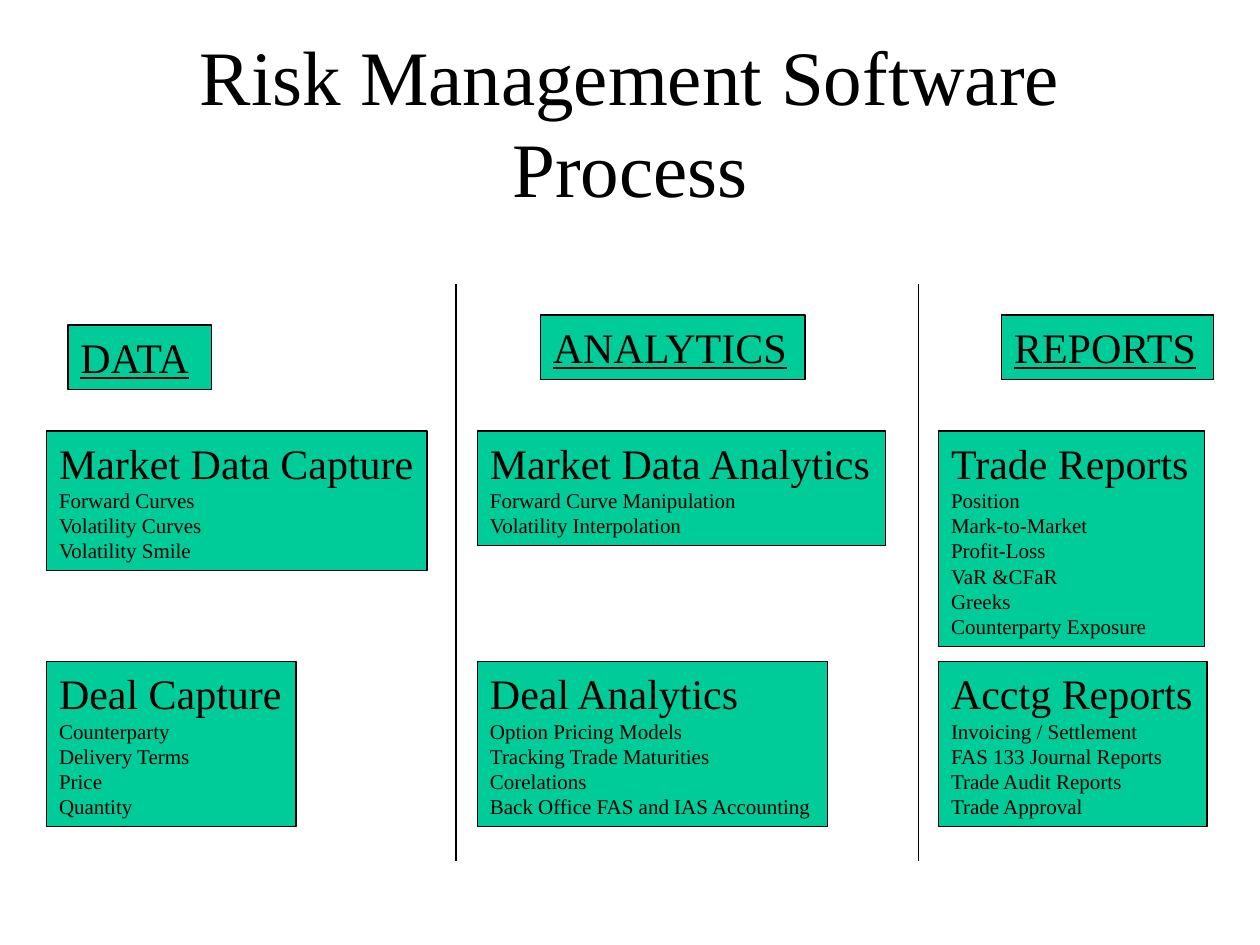
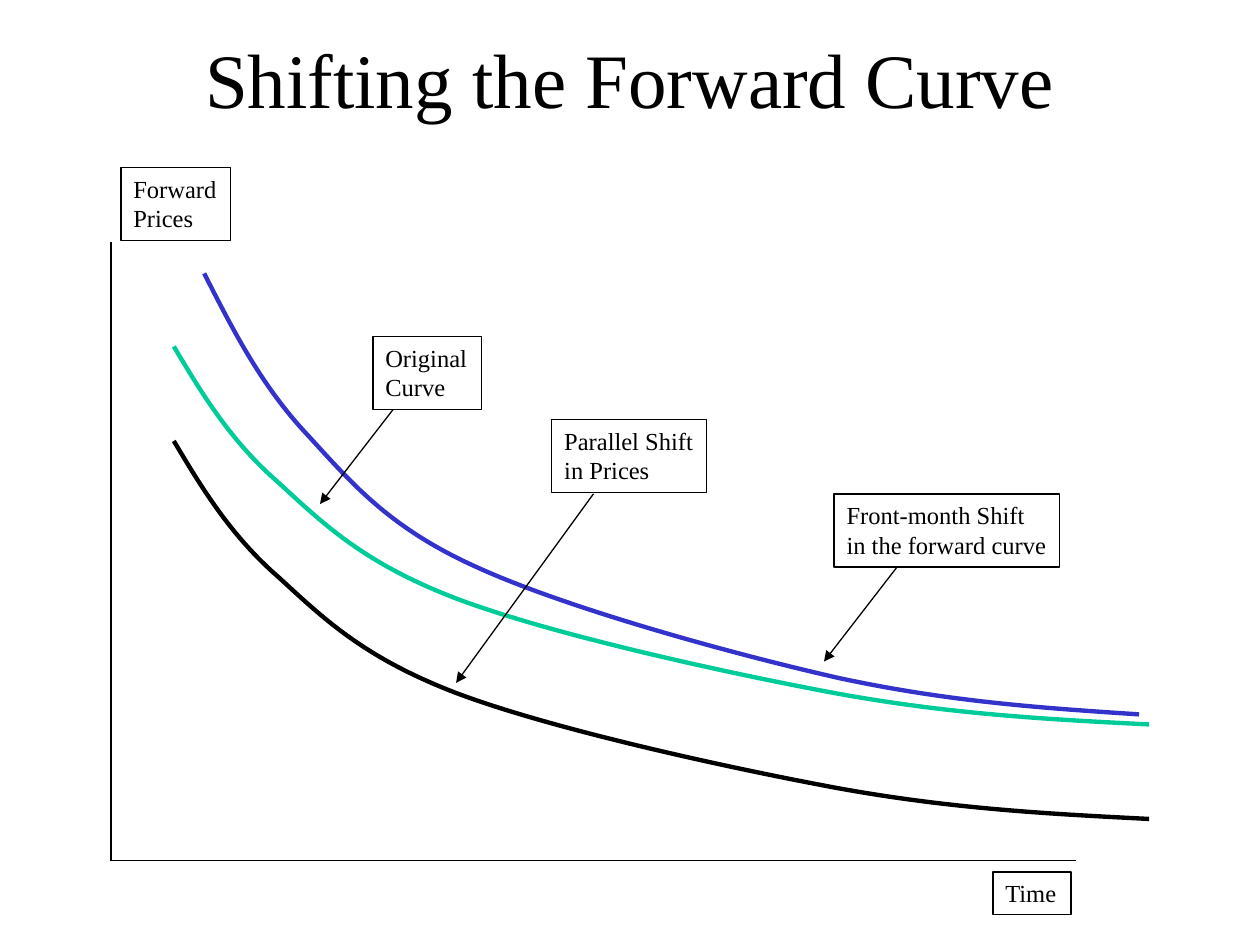
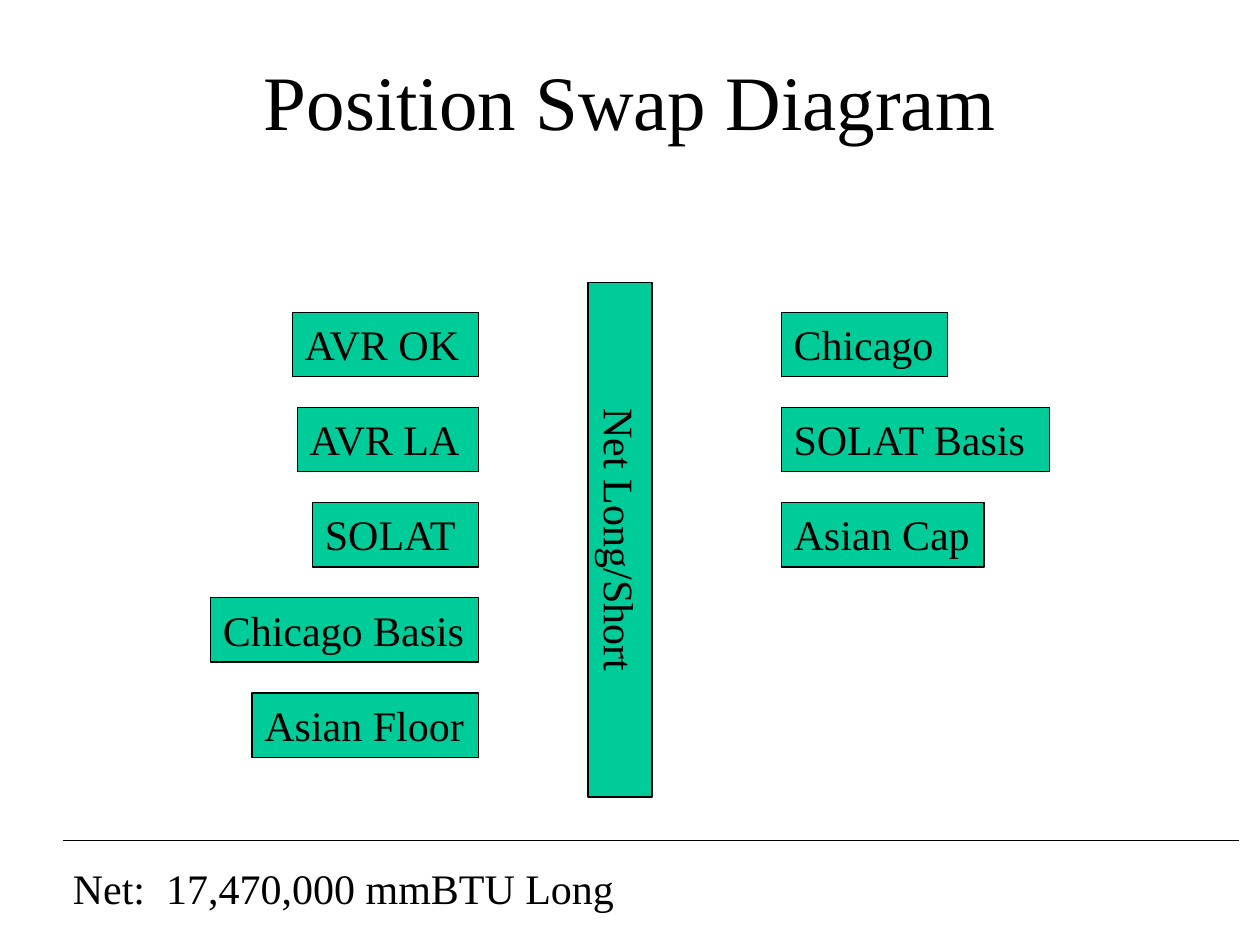
"""Build three slides on energy risk management: process, curve shifts and swaps."""
from lxml import etree
from pptx import Presentation
from pptx.dml.color import RGBColor
from pptx.enum import shapes, text
from pptx.oxml.ns import qn
from pptx.util import Inches, Pt

COLORS = {"green": "00CC99", "black": "000000", "blue": "3333CC"}
FONT = "Times New Roman"
FRAME_FORMAT = {
    "word_wrap": True,
    "auto_size": text.MSO_AUTO_SIZE.NONE,
    "vertical_anchor": text.MSO_ANCHOR.TOP,
    "margin_right": 0,
}
BLACK = RGBColor.from_string(COLORS["black"])
GREEN = RGBColor.from_string(COLORS["green"])


def add_label(slide, lines, box, sizes, fill=False, border=True, underline=None):
    shape = slide.shapes.add_textbox(*map(Inches, box))
    if fill:
        shape.fill.solid()
        shape.fill.fore_color.rgb = GREEN
    if border:
        shape.line.color.rgb = BLACK
        shape.line.width = Pt(0.75)
    frame = shape.text_frame
    for name, value in FRAME_FORMAT.items():
        setattr(frame, name, value)
    frame.text = "\n".join(lines)
    for index, paragraph in enumerate(frame.paragraphs):
        font_format = {"name": FONT, "size": Pt(sizes[min(index, len(sizes) - 1)]),
                       "underline": underline}
        for name, value in font_format.items():
            setattr(paragraph.font, name, value)
        paragraph.font.color.rgb = BLACK
    return shape


def add_line(slide, start, end, arrow=False):
    connector = slide.shapes.add_connector(
        shapes.MSO_CONNECTOR.STRAIGHT, *map(Inches, start + end))
    connector.line.color.rgb = BLACK
    connector.line.width = Pt(0.75)
    if arrow:
        etree.SubElement(connector.line._get_or_add_ln(), qn("a:tailEnd"), type="triangle")
    etree.SubElement(connector._element.spPr, qn("a:effectLst"))


presentation = Presentation()
presentation.slide_width, presentation.slide_height = Inches(10), Inches(7.5)

titles = [
    ("Risk Management Software Process", 0.25, 1.42),
    ("Shifting the Forward Curve", 0.08, 1.08),
    ("Position Swap Diagram", 0.17, 1.25),
]
slides = []
for title_text, top, height in titles:
    slide = presentation.slides.add_slide(presentation.slide_layouts[5])
    title = slide.shapes.title
    title_box = {"left": 0.75, "top": top, "width": 8.5, "height": height}
    for name, value in title_box.items():
        setattr(title, name, Inches(value))
    title.text_frame.text = title_text
    title.text_frame.auto_size = text.MSO_AUTO_SIZE.NONE
    title.text_frame.vertical_anchor = text.MSO_ANCHOR.MIDDLE
    paragraph = title.text_frame.paragraphs[0]
    paragraph.alignment = text.PP_ALIGN.CENTER
    for name, value in {"name": FONT, "size": Pt(44)}.items():
        setattr(paragraph.font, name, value)
    paragraph.font.color.rgb = BLACK
    slides.append(slide)
process_slide, curve_slide, swap_slide = slides

headings = [
    ("DATA", 0.54, 2.58, 1.14),
    ("ANALYTICS", 4.29, 2.5, 2.1),
    ("REPORTS", 7.95, 2.5, 1.68),
]
for heading, left, top, width in headings:
    add_label(process_slide, [heading], (left, top, width, 0.51), [24],
              fill=True, underline=True)

market_top, deal_top = 3.42, 5.25
steps = [
    (0.37, market_top, 3.02, ["Market Data Capture", "Forward Curves",
                              "Volatility Curves", "Volatility Smile"]),
    (0.37, deal_top, 1.98, ["Deal Capture", "Counterparty", "Delivery Terms",
                            "Price", "Quantity"]),
    (3.79, market_top, 3.24, ["Market Data Analytics", "Forward Curve Manipulation",
                              "Volatility Interpolation"]),
    (3.79, deal_top, 2.78, ["Deal Analytics", "Option Pricing Models",
                            "Tracking Trade Maturities", "Corelations",
                            "Back Office FAS and IAS Accounting"]),
    (7.45, market_top, 2.11, ["Trade Reports", "Position", "Mark-to-Market",
                              "Profit-Loss", "VaR &CFaR", "Greeks",
                              "Counterparty Exposure"]),
    (7.45, deal_top, 2.13, ["Acctg Reports", "Invoicing / Settlement",
                            "FAS 133 Journal Reports", "Trade Audit Reports",
                            "Trade Approval"]),
]
for left, top, width, lines in steps:
    height = 0.51 + 0.2 * (len(lines) - 1)
    add_label(process_slide, lines, (left, top, width, height), [24, 12], fill=True)
for divider in (3.62, 7.29):
    add_line(process_slide, (divider, 2.25), (divider, 6.83))

origin = (0.88, 6.83)
add_line(curve_slide, (0.88, 1.92), origin)
add_line(curve_slide, origin, (8.54, 6.83))

base_curve = [
    (1.38, 2.75), (1.6, 3.12), (1.83, 3.5), (2.21, 3.83), (2.58, 4.17),
    (2.89, 4.47), (3.62, 4.75), (4.36, 5.03), (5.71, 5.33), (6.62, 5.5),
    (7.54, 5.67), (8.33, 5.71), (9.12, 5.75),
]
parallel_curve = [(x, y + 0.75) for x, y in base_curve]
front_month_curve = [
    (1.62, 2.17), (1.84, 2.6), (2.06, 3.04), (2.42, 3.43), (2.78, 3.82),
    (3.07, 4.18), (3.78, 4.5), (4.48, 4.82), (5.77, 5.18), (6.65, 5.38),
    (7.53, 5.57), (8.28, 5.62), (9.04, 5.67),
]
curves = [(base_curve, "green"), (parallel_curve, "black"), (front_month_curve, "blue")]
for points, color in curves:
    start, *controls = [(Inches(x), Inches(y)) for x, y in points]
    builder = curve_slide.shapes.build_freeform(*start)
    builder.add_line_segments(controls, close=False)
    shape = builder.convert_to_shape()
    shape.shadow.inherit = False
    shape.fill.background()
    shape.line.color.rgb = RGBColor.from_string(COLORS[color])
    shape.line.width = Pt(2.5)
    segments = list(shape._element.iter(qn("a:lnTo")))
    for index in range(0, len(segments), 3):
        bezier = etree.SubElement(segments[index].getparent(), qn("a:cubicBezTo"))
        for segment in segments[index:index + 3]:
            bezier.append(segment[0])
            segment.getparent().remove(segment)

curve_labels = [
    (["Time"], (7.88, 6.92, 0.62, 0.34)),
    (["Forward", "Prices"], (0.96, 1.33, 0.87, 0.58)),
    (["Parallel Shift", "in Prices"], (4.38, 3.33, 1.23, 0.58)),
    (["Original", "Curve"], (2.96, 2.67, 0.86, 0.58)),
    (["Front-month Shift", "in the forward curve"], (6.62, 3.92, 1.79, 0.58)),
]
for lines, box in curve_labels:
    add_label(curve_slide, lines, box, [14])
pointers = [
    ((3.12, 3.25), (2.54, 4)),
    ((4.71, 3.92), (3.62, 5.42)),
    ((7.12, 4.5), (6.54, 5.25)),
]
for start, end in pointers:
    add_line(curve_slide, start, end, arrow=True)

net_bar = add_label(swap_slide, ["Net Long/Short"], (2.88, 4.03, 4.08, 0.51), [24], fill=True)
net_bar.rotation = 90
net_bar.text_frame.margin_left = 0
net_bar.text_frame.paragraphs[0].alignment = text.PP_ALIGN.CENTER

first_row, row_pitch = 2.48, 3.02 / 4
long_right, short_left = 3.8, 6.2
long_positions = [("AVR OK", 1.48), ("AVR LA", 1.44), ("SOLAT", 1.32),
                  ("Chicago Basis", 2.13), ("Asian Floor", 1.8)]
short_positions = [("Chicago", 1.32), ("SOLAT Basis", 2.13), ("Asian Cap", 1.61)]
for positions, on_left in ((long_positions, True), (short_positions, False)):
    for row, (name, width) in enumerate(positions):
        left = long_right - width if on_left else short_left
        add_label(swap_slide, [name], (left, first_row + row * row_pitch, width, 0.51),
                  [24], fill=True)

add_line(swap_slide, (0.5, 6.67), (9.83, 6.67))
add_label(swap_slide, ["Net:  17,470,000 mmBTU Long"], (0.48, 6.8, 4.49, 0.5), [24],
          border=False)

presentation.save("out.pptx")
